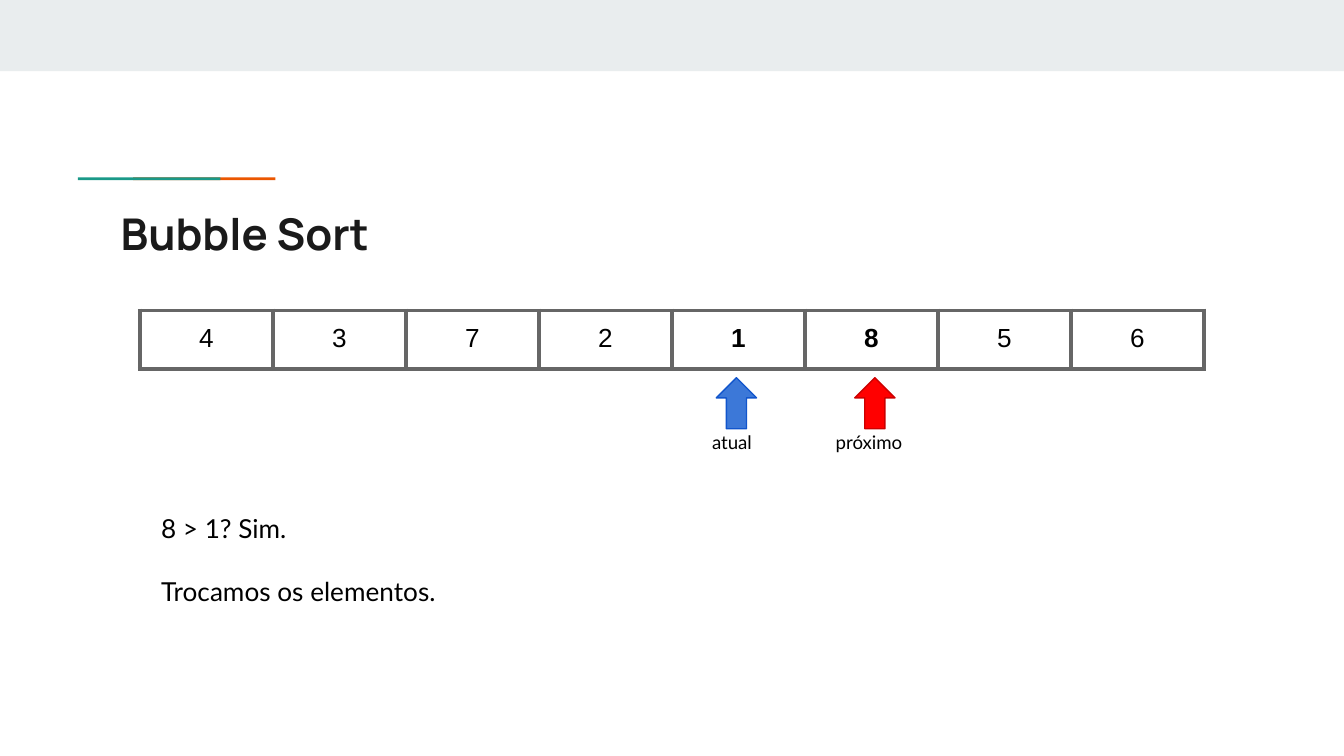
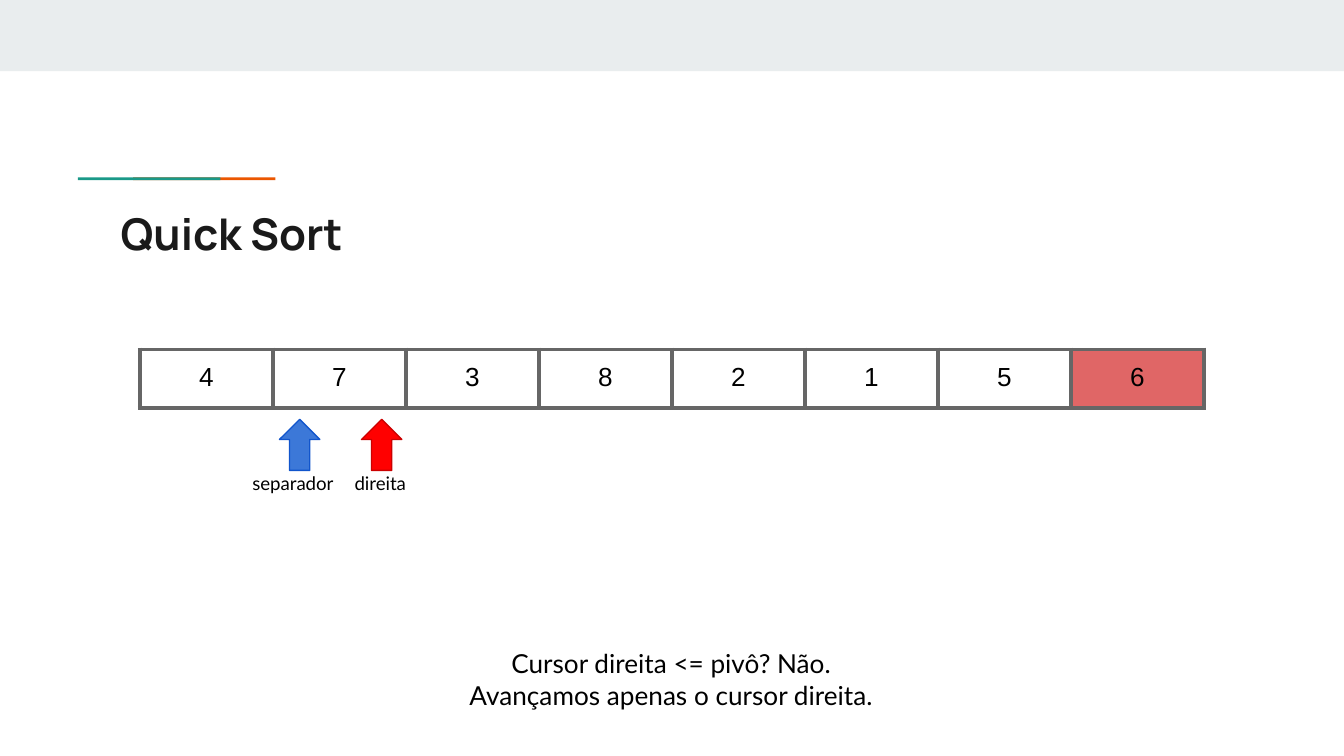
from lxml.etree import SubElement
from pptx import Presentation
from pptx.dml.color import RGBColor
from pptx.enum.shapes import MSO_SHAPE as Shape
from pptx.enum.text import PP_ALIGN as Align
from pptx.oxml.ns import qn
from pptx.util import Inches, Pt

BAND, ORANGE, TEAL = "E9EDEE", "EB5600", "1A9988"
TITLE, BLACK, BORDER, PIVOT = "1A1A1A", "000000", "666666", "E06666"
BLUE, BLUE_EDGE = "3C78D8", "1155CC"
RED, RED_EDGE = "FF0000", "CC0000"


def color(value):
    """Turn a hex string into a colour."""
    return RGBColor.from_string(value)


class SortDeck:
    """Hold the shared style and the current page."""

    def __init__(self):
        """Start a deck of 16:9 pages."""
        self.deck = Presentation()
        self.deck.slide_width, self.deck.slide_height = Inches(10), Inches(10 * 9 / 16)
        self.page = None

    def add_page(self, title):
        """Add a page with its band, accent rule and title."""
        self.page = self.deck.slides.add_slide(self.deck.slide_layouts[6])
        self.shape(Shape.RECTANGLE, 0, 0, 10, 0.53, BAND)
        self.shape(Shape.RECTANGLE, 0.99, 1.32, 1.06, 0.02, ORANGE)
        self.shape(Shape.RECTANGLE, 0.58, 1.32, 1.06, 0.02, TEAL)
        self.text([title], 0.8, 1.44, 8.41, 0.59, 23.4, "Manrope", TITLE, bold=True)

    def shape(self, kind, left, top, width, height, fill, edge=None):
        """Add a filled shape with an optional outline."""
        shape = self.page.shapes.add_shape(
            kind, Inches(left), Inches(top), Inches(width), Inches(height))
        shape.shadow.inherit = False
        shape.fill.solid()
        shape.fill.fore_color.rgb = color(fill)
        if edge:
            shape.line.color.rgb = color(edge)
            shape.line.width = Pt(0.75)
        else:
            shape.line.fill.background()
        return shape

    def style(self, para, size, font, ink, bold=False, align=Align.LEFT):
        """Format a paragraph and its runs."""
        para.alignment = align
        for span in para.runs:
            span.font.size, span.font.name, span.font.bold = Pt(size), font, bold
            span.font.color.rgb = color(ink)

    def text(self, lines, left, top, width, height, size=14, font="Lato",
             ink=BLACK, bold=False, align=Align.LEFT, gap=0):
        """Add a text box with one paragraph per line."""
        box = self.page.shapes.add_textbox(
            Inches(left), Inches(top), Inches(width), Inches(height))
        frame = box.text_frame
        frame.word_wrap = True
        frame.margin_left = frame.margin_right = Inches(0.1)
        frame.margin_top = frame.margin_bottom = Inches(0.1)
        frame.text = "\n".join(lines)
        for index, para in enumerate(frame.paragraphs):
            self.style(para, size, font, ink, bold, align)
            if index:
                para.space_before = Pt(gap)

    def array(self, values, top, bold=(), pivot=None):
        """Add the array as a one-row table."""
        width = 0.99
        table = self.page.shapes.add_table(
            1, len(values), Inches(1.04), Inches(top),
            Inches(width * len(values)), Inches(0.42)).table
        table.first_row = table.horz_banding = False
        for column in table.columns:
            column.width = Inches(width)
        for index, value in enumerate(values):
            cell = table.cell(0, index)
            cell.margin_left = cell.margin_right = Inches(0.1)
            cell.margin_top = cell.margin_bottom = Inches(0.1)
            cell.text_frame.text = str(value)
            self.style(cell.text_frame.paragraphs[0], 14, "Arial", BLACK,
                       value in bold, Align.CENTER)
            self.borders(cell)
            if value == pivot:
                cell.fill.solid()
                cell.fill.fore_color.rgb = color(PIVOT)
            else:
                cell.fill.background()

    def borders(self, cell):
        """Draw the four borders of a cell."""
        properties = cell._tc.get_or_add_tcPr()
        for side in ("a:lnL", "a:lnR", "a:lnT", "a:lnB"):
            line = SubElement(properties, qn(side), w=str(Pt(2.25)))
            fill = SubElement(line, qn("a:solidFill"))
            SubElement(fill, qn("a:srgbClr"), val=BORDER)

    def cursor(self, label, left, top, label_left, label_width, fill, edge):
        """Add an upward arrow with its label below."""
        length, breadth = 0.38, 0.3
        arrow = self.shape(Shape.RIGHT_ARROW, left, top + (length - breadth) / 2,
                           length, breadth, fill, edge)
        arrow.rotation = 270
        self.text([label], label_left, top + 0.31, label_width, 0.37, size=10)


def main():
    """Build both pages and save the deck."""
    deck = SortDeck()

    deck.add_page("Bubble Sort")
    deck.array([4, 3, 7, 2, 1, 8, 5, 6], 2.31, bold=(1, 8))
    deck.text(["8 > 1? Sim.", "Trocamos os elementos."],
              1.1, 3.71, 7.81, 0.91, gap=17)
    deck.cursor("atual", 5.29, 2.81, 5.2, 0.56, BLUE, BLUE_EDGE)
    deck.cursor("próximo", 6.32, 2.81, 6.12, 0.77, RED, RED_EDGE)

    deck.add_page("Quick Sort")
    deck.array([4, 7, 3, 8, 2, 1, 5, 6], 2.6, pivot=6)
    deck.text(["Cursor direita <= pivô? Não.", "Avançamos apenas o cursor direita."],
              1.78, 4.72, 6.43, 0.67, align=Align.CENTER)
    deck.cursor("separador", 2.04, 3.12, 1.78, 0.83, BLUE, BLUE_EDGE)
    deck.cursor("direita", 2.65, 3.12, 2.54, 0.6, RED, RED_EDGE)

    deck.deck.save("out.pptx")


if __name__ == "__main__":
    main()
